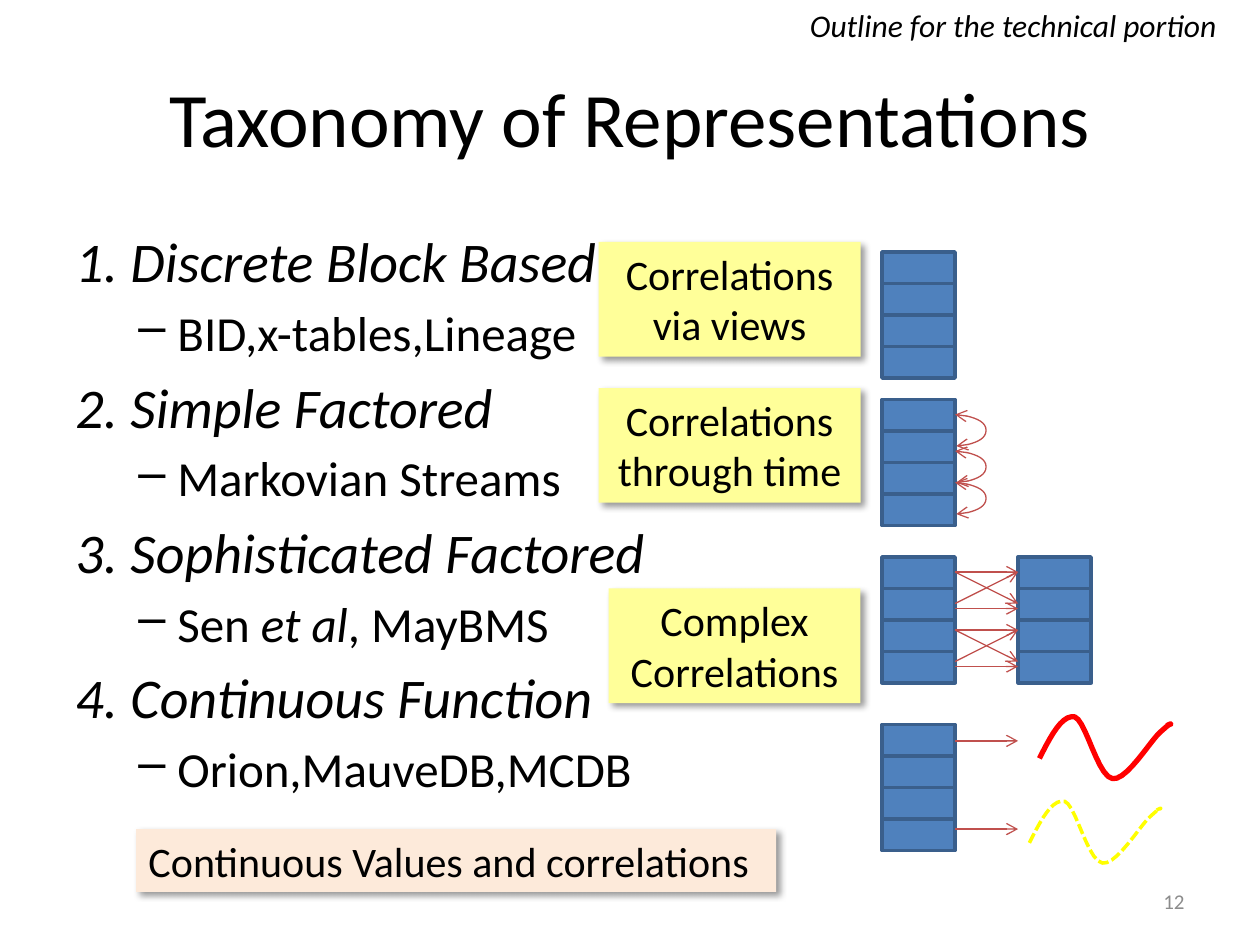
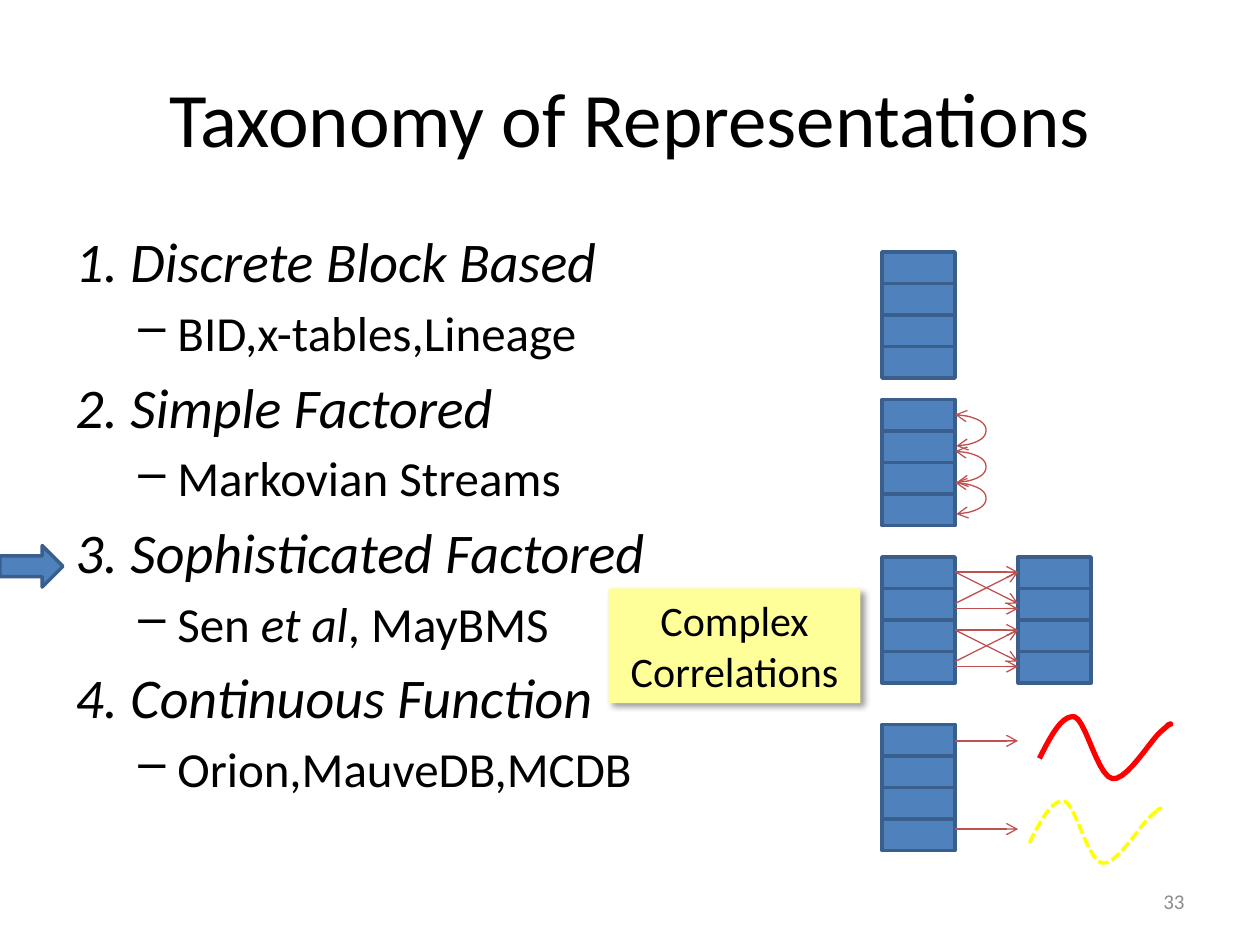
from dataclasses import dataclass

from lxml import etree
from pptx import Presentation
from pptx.dml.color import RGBColor
from pptx.enum.dml import MSO_LINE
from pptx.enum.shapes import MSO_CONNECTOR, MSO_SHAPE
from pptx.enum.text import MSO_ANCHOR, PP_ALIGN
from pptx.oxml.ns import qn
from pptx.util import Inches, Pt

STRAIGHT, CURVE = MSO_CONNECTOR.STRAIGHT, MSO_CONNECTOR.CURVE
RECT, RIGHT_ARROW = MSO_SHAPE.RECTANGLE, MSO_SHAPE.RIGHT_ARROW
LEFT, CENTER, RIGHT = PP_ALIGN.LEFT, PP_ALIGN.CENTER, PP_ALIGN.RIGHT
TOP, MIDDLE = MSO_ANCHOR.TOP, MSO_ANCHOR.MIDDLE
DASH = MSO_LINE.SQUARE_DOT


@dataclass(frozen=True)
class Theme:
    font: str = "Calibri"
    text: str = "000000"
    muted: str = "8C8C8C"
    block: str = "4F81BD"
    block_edge: str = "3A5F8C"
    link: str = "C0504D"
    note: str = "FFFF99"
    summary: str = "FDEADA"
    solid_wave: str = "FF0000"
    dashed_wave: str = "FFFF00"
    title_size: int = 44
    topic_size: int = 32
    example_size: int = 28
    note_size: int = 24
    tag_size: int = 18
    number_size: int = 12


T = Theme()
CELL_W, CELL_H, CELLS = 0.58, 0.25, 4
LINK_W = 0.5

TITLE = "Taxonomy of Representations"
TITLE_BOX = (0.5, 0.3, 9, 1.25)
OUTLINE_BOX = (0.5, 1.75, 9, 4.95)
NUMBER_BOX = (7.17, 6.95, 2.33, 0.4)
# Each topic is followed by the (text, italic) runs of its examples.
OUTLINE = [
    ("1. Discrete Block Based", [("BID,x-tables,Lineage", False)]),
    ("2. Simple Factored", [("Markovian Streams", False)]),
    ("3. Sophisticated Factored",
     [("Sen ", False), ("et al", True), (", MayBMS", False)]),
    ("4. Continuous Function", [("Orion,MauveDB,MCDB", False)]),
]
COMPLEX_NOTE = ("Complex Correlations", (4.83, 4.67, 2, 0.91))

# Bezier start, then two handles and an end for each section
WAVE = [(0, 0.35),
        (0.09, 0.17), (0.18, 0), (0.28, 0.02),
        (0.37, 0.05), (0.46, 0.49), (0.58, 0.51),
        (0.69, 0.53), (0.88, 0.21), (0.96, 0.14),
        (1.04, 0.07), (1.03, 0.08), (1.04, 0.08),
        (1.05, 0.07), (1.03, 0.08), (1.01, 0.09)]


def rgb(color):
    return RGBColor.from_string(color)


def inches(values):
    return [Inches(v) for v in values]


def style_run(r, size, color=T.text, italic=False):
    r.font.name, r.font.size, r.font.italic = T.font, Pt(size), italic
    r.font.color.rgb = rgb(color)


def set_text(sp, text, size, color=T.text, align=LEFT, anchor=TOP, italic=False):
    tf = sp.text_frame
    tf.word_wrap, tf.vertical_anchor = True, anchor
    tf.text = text
    p = tf.paragraphs[0]
    p.alignment = align
    style_run(p.runs[0], size, color, italic)


def add_text(s, box, text, size, **style):
    set_text(s.shapes.add_textbox(*inches(box)), text, size, **style)


def add_block(shapes, box, kind=RECT):
    sp = shapes.add_shape(kind, *inches(box))
    sp.shadow.inherit = False
    sp.fill.solid()
    sp.fill.fore_color.rgb = rgb(T.block)
    sp.line.color.rgb = rgb(T.block_edge)
    sp.line.width = Pt(2)


def add_link(shapes, start, end, kind=STRAIGHT, ends=("tailEnd",)):
    c = shapes.add_connector(kind, *inches(start + end))
    c.line.color.rgb = rgb(T.link)
    c.line.width = Pt(0.75)
    ln = c.line._get_or_add_ln()
    for name in ends:
        etree.SubElement(ln, qn("a:" + name), type="arrow")
    etree.SubElement(c._element.spPr, qn("a:effectLst"))
    return c


def add_loop(shapes, x, y):
    """Two-headed curve that bulges one cell height to the right."""
    width = 0.01
    c = add_link(shapes, (x, y), (x + width, y + CELL_H), CURVE,
                 ("headEnd", "tailEnd"))
    guides = c._element.spPr.find(qn("a:prstGeom")).get_or_add_avLst()
    etree.SubElement(guides, qn("a:gd"), name="adj1",
                     fmla=f"val {round(CELL_H / width * 100000)}")


def add_wave(shapes, x, y, color, width, dash=None, steps=10):
    points = [WAVE[0]]
    for i in range(0, len(WAVE) - 1, 3):
        a, b, c, d = WAVE[i:i + 4]
        for t in (n / steps for n in range(1, steps + 1)):
            u = 1 - t
            points.append(tuple(
                u**3 * a[k] + 3 * u * u * t * b[k] + 3 * u * t * t * c[k] + t**3 * d[k]
                for k in (0, 1)))
    points = [inches((x + px, y + py)) for px, py in points]
    builder = shapes.build_freeform(*points[0])
    builder.add_line_segments(points[1:], close=False)
    sp = builder.convert_to_shape()
    sp.shadow.inherit = False
    sp.fill.background()
    sp.line.color.rgb = rgb(color)
    sp.line.width = Pt(width)
    if dash:
        sp.line.dash_style = dash


def add_stack(shapes, x, y):
    for i in range(CELLS):
        add_block(shapes, (x, y + i * CELL_H, CELL_W, CELL_H))


def discrete_diagram(shapes, x, y):
    add_stack(shapes, x, y)


def simple_diagram(shapes, x, y):
    add_stack(shapes, x, y)
    for dy in (0.12, 0.41, 0.66):
        add_loop(shapes, x + CELL_W, y + dy)


def sophisticated_diagram(shapes, x, y):
    left, right = x + CELL_W, x + CELL_W + LINK_W
    add_stack(shapes, x, y)
    add_stack(shapes, right, y)
    for half in (0.12, 0.58):
        for start, end in ((0, 0.25), (0.25, 0), (0, 0), (0.29, 0.29)):
            add_link(shapes, (left, y + half + start), (right, y + half + end))


def continuous_diagram(shapes, x, y):
    left = x + CELL_W
    add_stack(shapes, x, y)
    for dy in (0.13, 0.83):
        add_link(shapes, (left, y + dy), (left + LINK_W, y + dy))
    add_wave(shapes, x + 1.25, y - 0.08, T.solid_wave, 3)
    add_wave(shapes, x + 1.17, y + 0.59, T.dashed_wave, 2, DASH)


def add_diagrams(s, x=7):
    for draw, y in ((discrete_diagram, 2), (simple_diagram, 3.17),
                    (sophisticated_diagram, 4.42), (continuous_diagram, 5.75)):
        draw(s.shapes.add_group_shape().shapes, x, y)


def add_outline_line(p, runs, size, margin, hanging, space, bullet=None):
    pPr = p._p.get_or_add_pPr()
    pPr.set("marL", str(Inches(margin)))
    pPr.set("indent", str(-Inches(hanging)))
    if bullet:
        etree.SubElement(pPr, qn("a:buChar"), char=bullet)
    p.space_before = Pt(space)
    for text, italic in runs:
        r = p.add_run()
        r.text = text
        style_run(r, size, italic=italic)


def add_outline(s, box):
    tf = s.shapes.add_textbox(*inches(box)).text_frame
    tf.word_wrap = True
    for i, (topic, examples) in enumerate(OUTLINE):
        p = tf.add_paragraph() if i else tf.paragraphs[0]
        add_outline_line(p, [(topic, True)], T.topic_size, 0.38, 0.38, 6 if i else 0)
        add_outline_line(tf.add_paragraph(), examples, T.example_size,
                         0.81, 0.31, 5, "–")


def add_note(s, text, box, color=T.note, align=CENTER):
    """Filled box with a soft shadow to the lower right."""
    sp = s.shapes.add_shape(RECT, *inches(box))
    sp.fill.solid()
    sp.fill.fore_color.rgb = rgb(color)
    sp.line.fill.background()
    sp.shadow.inherit = False
    effects = sp._element.spPr.find(qn("a:effectLst"))
    shadow = etree.SubElement(effects, qn("a:outerShdw"), blurRad=str(Pt(4)),
                              dist=str(Pt(3)), dir=str(45 * 60000),
                              algn="tl", rotWithShape="0")
    tint = etree.SubElement(shadow, qn("a:srgbClr"), val=T.text)
    etree.SubElement(tint, qn("a:alpha"), val="40000")
    set_text(sp, text, T.note_size, align=align)


def add_taxonomy_slide(prs, number):
    s = prs.slides.add_slide(prs.slide_layouts[5])
    title = s.shapes.title
    title.left, title.top, title.width, title.height = inches(TITLE_BOX)
    set_text(title, TITLE, T.title_size, align=CENTER, anchor=MIDDLE)
    add_outline(s, OUTLINE_BOX)
    add_diagrams(s)
    add_text(s, NUMBER_BOX, str(number), T.number_size, color=T.muted,
             align=RIGHT, anchor=MIDDLE)
    return s


def add_overview_slide(prs):
    s = add_taxonomy_slide(prs, 12)
    add_text(s, (6.33, 0, 3.67, 0.4), "Outline for the technical portion",
             T.tag_size, italic=True)
    add_note(s, "Correlations via views", (4.75, 1.92, 2.08, 0.91))
    add_note(s, "Correlations through time", (4.75, 3.08, 2.08, 0.91))
    add_note(s, *COMPLEX_NOTE)
    add_note(s, "Continuous Values and correlations", (1.08, 6.58, 5.08, 0.5),
             T.summary, LEFT)


def add_sophisticated_slide(prs):
    s = add_taxonomy_slide(prs, 33)
    add_block(s.shapes, (0, 4.33, 0.5, 0.33), RIGHT_ARROW)
    add_note(s, *COMPLEX_NOTE)


def main():
    prs = Presentation()
    prs.slide_width, prs.slide_height = Inches(10), Inches(7.5)
    add_overview_slide(prs)
    add_sophisticated_slide(prs)
    prs.save("out.pptx")


if __name__ == "__main__":
    main()
